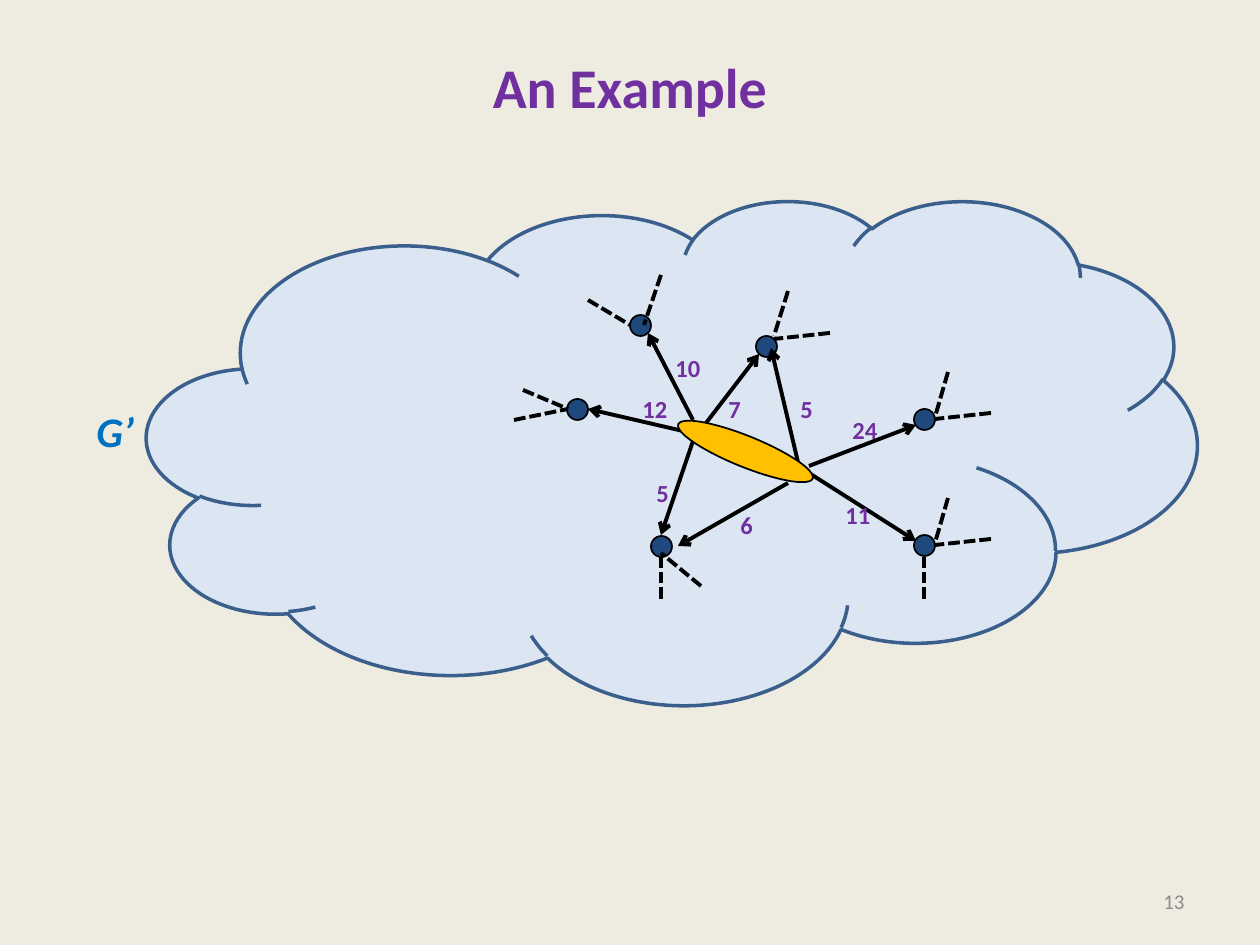
import lxml.etree
import pptx
import pptx.dml.color
import pptx.enum.dml
import pptx.enum.shapes
import pptx.enum.text
import pptx.oxml.ns
import pptx.util

SHAPE = pptx.enum.shapes.MSO_SHAPE
ALIGN = pptx.enum.text.PP_ALIGN
ANCHOR = pptx.enum.text.MSO_ANCHOR
EMU_PER_PX = 914400 / 126
BLACK, PURPLE = "000000", "7030A0"
NODE_SIZE = 21

WEST_NODES = [(756, 336), (651, 536), (567, 399), (630, 315)]
EAST_NODES = [(914, 409), (914, 535)]

EDGES = [
    ((683, 431), (588, 409), "12", (630, 388)),
    ((693, 441), (661, 535), "5", (644, 472)),
    ((693, 420), (648, 333), "10", (663, 347)),
    ((703, 427), (759, 354), "7", (716, 388)),
    ((809, 466), (916, 425), "24", (840, 409)),
    ((809, 473), (916, 541), "11", (833, 494)),
    ((798, 462), (771, 348), "5", (788, 388)),
    ((788, 483), (678, 546), "6", (728, 504)),
]

STUBS = [
    ((830, 333), (774, 339)), ((788, 291), (774, 336)),
    ((661, 599), (661, 557)), ((701, 586), (661, 553)),
    ((514, 420), (568, 409)), ((523, 390), (568, 409)),
    ((588, 300), (630, 325)), ((661, 275), (644, 325)),
    ((991, 413), (935, 419)), ((948, 372), (935, 417)),
    ((991, 539), (935, 545)), ((948, 498), (935, 543)),
    ((924, 599), (924, 557)),
]


def px(length):
    return round(length * EMU_PER_PX)


def color(hex_value):
    return pptx.dml.color.RGBColor.from_string(hex_value)


def apply(target, values):
    for name, value in values.items():
        setattr(target, name, value)


class GraphSlide:
    """Holds the font and the current slide, and draws its elements."""

    def __init__(self, deck, background, font="Calibri"):
        self.font = font
        self.slide = deck.slides.add_slide(deck.slide_layouts[5])
        self.slide.background.fill.solid()
        self.slide.background.fill.fore_color.rgb = color(background)

    def fill_text(self, frame, words, size, hue, align, **style):
        frame.text = words
        paragraph = frame.paragraphs[0]
        paragraph.alignment = align
        font = paragraph.runs[0].font
        apply(font, {"name": self.font, "size": pptx.util.Pt(size), **style})
        font.color.rgb = color(hue)

    def title(self, box, words, size, hue):
        heading = self.slide.shapes.title
        apply(heading, dict(zip(("left", "top", "width", "height"), map(px, box))))
        apply(heading.text_frame, {"vertical_anchor": ANCHOR.TOP, "margin_top": px(15)})
        self.fill_text(heading.text_frame, words, size, hue, ALIGN.CENTER, bold=True)

    def label(self, box, words, size, hue, align=ALIGN.LEFT, anchor=ANCHOR.TOP, **style):
        frame = self.slide.shapes.add_textbox(*map(px, box)).text_frame
        apply(frame, {"word_wrap": False, "vertical_anchor": anchor})
        self.fill_text(frame, words, size, hue, align, **style)

    def page_number(self, box, words, size, hue):
        self.label(box, words, size, hue, ALIGN.RIGHT, ANCHOR.MIDDLE)
        self.slide.shapes[-1].text_frame.word_wrap = True

    def shape(self, kind, box, fill, outline=BLACK, weight=1, rotation=0):
        outlined = self.slide.shapes.add_shape(kind, *map(px, box))
        outlined.shadow.inherit = False
        outlined.rotation = rotation
        outlined.fill.solid()
        outlined.fill.fore_color.rgb = color(fill)
        outlined.line.color.rgb = color(outline)
        outlined.line.width = pptx.util.Pt(weight)

    def nodes(self, corners):
        for left, top in corners:
            self.shape(SHAPE.OVAL, (left, top, NODE_SIZE, NODE_SIZE), "1F497D")

    def line(self, start, end, arrow=False):
        connector = self.slide.shapes.add_connector(
            pptx.enum.shapes.MSO_CONNECTOR.STRAIGHT, *map(px, start + end))
        connector.line.color.rgb = color(BLACK)
        connector.line.width = pptx.util.Pt(2.25)
        qn = pptx.oxml.ns.qn
        properties = connector.element.spPr
        if arrow:
            lxml.etree.SubElement(properties.find(qn("a:ln")), qn("a:tailEnd"), type="arrow")
        else:
            connector.line.dash_style = pptx.enum.dml.MSO_LINE.SQUARE_DOT
        lxml.etree.SubElement(properties, qn("a:effectLst"))


def main():
    deck = pptx.Presentation()
    apply(deck, {"slide_width": px(1260), "slide_height": px(945)})
    graph = GraphSlide(deck, "EEECE1")
    graph.title((63, 38, 1134, 157), "An Example", 32, PURPLE)
    graph.page_number((903, 876, 294, 50), "13", 12, "8C8C8C")
    graph.shape(SHAPE.CLOUD, (147, 200, 1050, 504), "DCE6F2", "3A5F8C", 2)
    graph.label((84, 399, 63, 63), "G’", 24, "0070C0", bold=True, italic=True)
    graph.nodes(WEST_NODES)
    for start, end in STUBS:
        graph.line(start, end)
    for start, end, weight, corner in EDGES:
        graph.line(start, end, arrow=True)
        width = 25 + 13 * len(weight)
        graph.label((*corner, width, 43), weight, 14, PURPLE, bold=True)
    graph.nodes(EAST_NODES)
    graph.shape(SHAPE.OVAL, (673, 436, 145, 31), "FFC000", rotation=22)
    deck.save("out.pptx")


if __name__ == "__main__":
    main()
